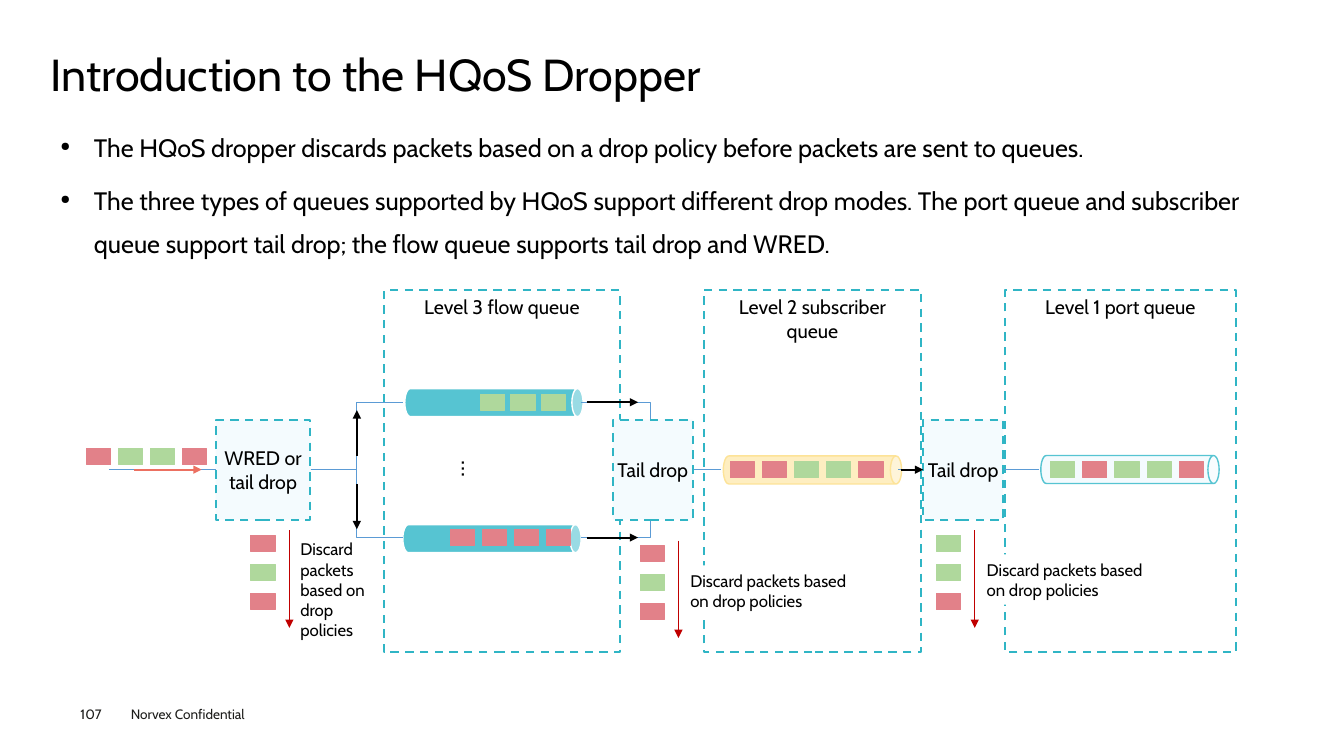
from dataclasses import dataclass

from lxml.etree import SubElement
from pptx import Presentation
from pptx.dml.color import RGBColor
from pptx.enum.dml import MSO_LINE
from pptx.enum.shapes import MSO_CONNECTOR as Connector, MSO_SHAPE as Preset
from pptx.enum.text import MSO_ANCHOR as Anchor, PP_ALIGN as Align
from pptx.oxml.ns import qn
from pptx.util import Pt


@dataclass(frozen=True)
class Theme:
    font: str = "Cabin"
    text: str = "000000"
    footer: str = "1D1D1B"
    white: str = "FFFFFF"
    frame: str = "30B5C5"
    pale: str = "F4FBFE"
    teal: str = "56C4D2"
    cream: str = "FEEEC1"
    gold: str = "FDE397"
    link: str = "5B9BD5"
    inflow: str = "EC7061"
    discard: str = "C00000"
    green: str = "AFD89C"
    red: str = "E28189"
    title_size: float = 32
    body_size: float = 18
    box_size: float = 14
    note_size: float = 12
    footer_size: float = 9.7


@dataclass(frozen=True)
class Box:
    left: float
    top: float
    width: float
    height: float
    text: str = ""


@dataclass(frozen=True)
class Queue:
    """A horizontal cylinder, placed by its centre."""
    x: float
    y: float
    fill: str
    line: str


@dataclass(frozen=True)
class Packets:
    """A run of packets; each letter of colours is r (red) or g (green)."""
    left: float
    top: float
    colours: str
    step_x: float = 0
    step_y: float = 0


@dataclass(frozen=True)
class Discard:
    packets: Packets
    note: Box
    note_filled: bool = True


@dataclass(frozen=True)
class Line:
    x1: float
    y1: float
    x2: float
    y2: float
    colour: str
    width: float = 1.5
    arrow: bool = True
    kind: Connector = Connector.STRAIGHT


THEME = Theme()
FLOW_Y, UPPER_Y, LOWER_Y = 335.5, 287.3, 384
QUEUE_LENGTH, QUEUE_HEIGHT = 127.4, 20
PACKET_WIDTH, PACKET_HEIGHT = 17.3, 11.5
NOTE = "Discard packets based on drop policies"

QUEUES = [
    Queue(580.3, 335.7, THEME.cream, THEME.gold),
    Queue(807.1, 335.4, THEME.pale, THEME.teal),
    Queue(352.8, 287.6, THEME.teal, THEME.white),
    Queue(351.4, 384.8, THEME.teal, THEME.white),
]
LEVELS = [
    Box(717.8, 207.4, 165, 258.5, "Level 1 port queue"),
    Box(502.6, 207.4, 155.5, 258.5, "Level 2 subscriber queue"),
    Box(274.3, 207.4, 168.5, 258.5, "Level 3 flow queue"),
]
DROPPERS = [
    Box(154.1, 299.8, 67.7, 71.4, "WRED or tail drop"),
    Box(437.8, 299.8, 57, 71.4, "Tail drop"),
    Box(659.5, 299.8, 57, 71.4, "Tail drop"),
]
BACK_LINES = [
    Line(414.7, y, 514.8, FLOW_Y, THEME.link, 0.5, False, Connector.ELBOW)
    for y in (UPPER_Y, LOWER_Y)
] + [Line(641.5, FLOW_Y, 742.3, FLOW_Y, THEME.link, 0.5, False)]
BRANCHES = [
    Line(221.8, FLOW_Y, 288, y, THEME.link, 0.5, False, Connector.ELBOW)
    for y in (UPPER_Y, LOWER_Y)
]
QUEUED = [
    Packets(61.9, 320.4, "rggr", 22.8),
    Packets(343.4, 281.5, "ggg", 21.6),
    Packets(321.8, 378, "rrrr", 22.8),
    Packets(521.5, 329.8, "rrggr", 23),
    Packets(750.4, 329.8, "grggr", 23),
]
ARROWS = [
    Line(95.8, FLOW_Y, 144, FLOW_Y, THEME.inflow),
    Line(254.9, 325.4, 254.9, 293, THEME.text),
    Line(254.9, 345.6, 254.9, 378, THEME.text),
    Line(419, LOWER_Y, 455.8, LOWER_Y, THEME.text),
    Line(419, UPPER_Y, 455.8, UPPER_Y, THEME.text),
]
DISCARDS = [
    Discard(Packets(179.3, 382.3, "rgr", 0, 20.9), Box(207.4, 381.6, 76.3, 80, NOTE), False),
    Discard(Packets(457.2, 389.5, "rgr", 0, 20.9), Box(486, 403.9, 138.4, 36, NOTE)),
    Discard(Packets(668.9, 382.3, "ggr", 0, 20.9), Box(697.7, 396, 139, 36, NOTE)),
]


def rgb(colour: str) -> RGBColor:
    return RGBColor.from_string(colour)


def set_font(paragraph, size: float, colour: str = THEME.text) -> None:
    font = paragraph.font
    font.name, font.size, font.color.rgb = THEME.font, Pt(size), rgb(colour)


def write(shape, text: str, size: float, align=Align.LEFT, anchor=Anchor.TOP,
          colour: str = THEME.text):
    frame = shape.text_frame
    frame.word_wrap, frame.vertical_anchor = True, anchor
    frame.text = text
    for paragraph in frame.paragraphs:
        paragraph.alignment = align
        set_font(paragraph, size, colour)
    return frame


def add_text(slide, box: Box, size: float, colour: str = THEME.text):
    shape = slide.shapes.add_textbox(Pt(box.left), Pt(box.top), Pt(box.width), Pt(box.height))
    write(shape, box.text, size, colour=colour)
    return shape


def add_block(slide, box: Box, fill: str = "", line: str = "", width: float = 1,
              preset=Preset.RECTANGLE):
    shape = slide.shapes.add_shape(preset, Pt(box.left), Pt(box.top), Pt(box.width), Pt(box.height))
    shape.shadow.inherit = False
    for part, colour in ((shape.fill, fill), (shape.line.fill, line)):
        if colour:
            part.solid()
            part.fore_color.rgb = rgb(colour)
        else:
            part.background()
    if line:
        shape.line.width = Pt(width)
    return shape


def add_dashed(slide, box: Box, fill: str = "", anchor=Anchor.TOP):
    shape = add_block(slide, box, fill, THEME.frame, 1.5)
    shape.line.dash_style = MSO_LINE.DASH
    write(shape, box.text, THEME.box_size, Align.CENTER, anchor)
    return shape


def add_queue(slide, queue: Queue) -> None:
    box = Box(queue.x - QUEUE_HEIGHT / 2, queue.y - QUEUE_LENGTH / 2, QUEUE_HEIGHT, QUEUE_LENGTH)
    shape = add_block(slide, box, queue.fill, queue.line, preset=Preset.CAN)
    shape.adjustments[0] = 0.4
    shape.rotation = 90


def add_packets(slide, packets: Packets) -> None:
    for index, letter in enumerate(packets.colours):
        colour = THEME.red if letter == "r" else THEME.green
        add_block(slide, Box(packets.left + index * packets.step_x,
                             packets.top + index * packets.step_y,
                             PACKET_WIDTH, PACKET_HEIGHT), colour, colour, 0.75)


def add_line(slide, line: Line):
    connector = slide.shapes.add_connector(line.kind, Pt(line.x1), Pt(line.y1), Pt(line.x2), Pt(line.y2))
    connector.line.color.rgb = rgb(line.colour)
    connector.line.width = Pt(line.width)
    properties = connector.element.spPr
    if line.arrow:
        SubElement(properties.find(qn("a:ln")), qn("a:tailEnd"), type="triangle")
    SubElement(properties, qn("a:effectLst"))
    return connector


def add_discard(slide, discard: Discard) -> None:
    packets, note = discard.packets, discard.note
    add_packets(slide, packets)
    x, top = packets.left + 27.4, packets.top - 3.4
    add_line(slide, Line(x, top, x, top + 69.6, THEME.discard, 1))
    if discard.note_filled:
        write(add_block(slide, note, THEME.white), note.text, THEME.note_size)
    else:
        add_text(slide, note, THEME.note_size)


def add_title(slide) -> None:
    title = slide.shapes.title
    title.left, title.top, title.width, title.height = Pt(36), Pt(35.3), Pt(889), Pt(39)
    frame = write(title, "Introduction to the HQoS Dropper", THEME.title_size, anchor=Anchor.MIDDLE)
    frame.margin_left = frame.margin_right = frame.margin_top = frame.margin_bottom = 0
    frame.paragraphs[0].line_spacing = 0.9


def add_bullets(slide) -> None:
    shape = add_text(slide, Box(
        36, 82.8, 889, 110,
        "The HQoS dropper discards packets based on a drop policy before packets are sent to queues.\n"
        "The three types of queues supported by HQoS support different drop modes. The port queue and "
        "subscriber queue support tail drop; the flow queue supports tail drop and WRED."), THEME.body_size)
    shape.text_frame.margin_top = Pt(3)
    for index, paragraph in enumerate(shape.text_frame.paragraphs):
        paragraph.line_spacing = 1.4
        if index:
            paragraph.space_before = Pt(7.9)
        properties = paragraph._p.get_or_add_pPr()
        properties.set("marL", str(Pt(24)))
        properties.set("indent", str(-Pt(24)))
        bullet_size = properties.makeelement(qn("a:buSzPct"), {"val": "50000"})
        bullet = properties.makeelement(qn("a:buChar"), {"char": "●"})
        properties.find(qn("a:defRPr")).addprevious(bullet_size)
        bullet_size.addnext(bullet)


def main() -> None:
    presentation = Presentation()
    presentation.slide_width, presentation.slide_height = Pt(960), Pt(540)
    slide = presentation.slides.add_slide(presentation.slide_layouts[5])
    add_text(slide, Box(86.4, 500.4, 130, 19.4, "Norvex Confidential"), THEME.footer_size, THEME.footer)
    add_text(slide, Box(50.4, 500.4, 40, 19.4, "107"), THEME.footer_size, THEME.footer)
    for queue in QUEUES:
        add_queue(slide, queue)
    add_title(slide)
    add_bullets(slide)
    for level in LEVELS:
        add_dashed(slide, level)
    for line in BACK_LINES:
        add_line(slide, line)
    ellipsis = add_text(slide, Box(315.4, 321.8, 36, 29.5, "…"), THEME.body_size)
    ellipsis.text_frame._txBody.bodyPr.set("vert", "eaVert")

    droppers = [add_dashed(slide, box, THEME.pale, Anchor.MIDDLE) for box in DROPPERS]
    for dropper in droppers:
        dropper.text_frame.margin_left = dropper.text_frame.margin_right = Pt(2.9)
    wred, _, port_dropper = droppers
    for branch in BRANCHES:
        add_line(slide, branch).begin_connect(wred, 3)
    add_line(slide, Line(77.8, FLOW_Y, 154.1, FLOW_Y, THEME.link, 0.5, False)).end_connect(wred, 1)
    for packets in QUEUED:
        add_packets(slide, packets)
    for arrow in ARROWS:
        add_line(slide, arrow)
    for discard in DISCARDS:
        add_discard(slide, discard)
    add_line(slide, Line(643.7, FLOW_Y, 659.5, FLOW_Y, THEME.text)).end_connect(port_dropper, 1)
    presentation.save("out.pptx")


if __name__ == "__main__":
    main()
